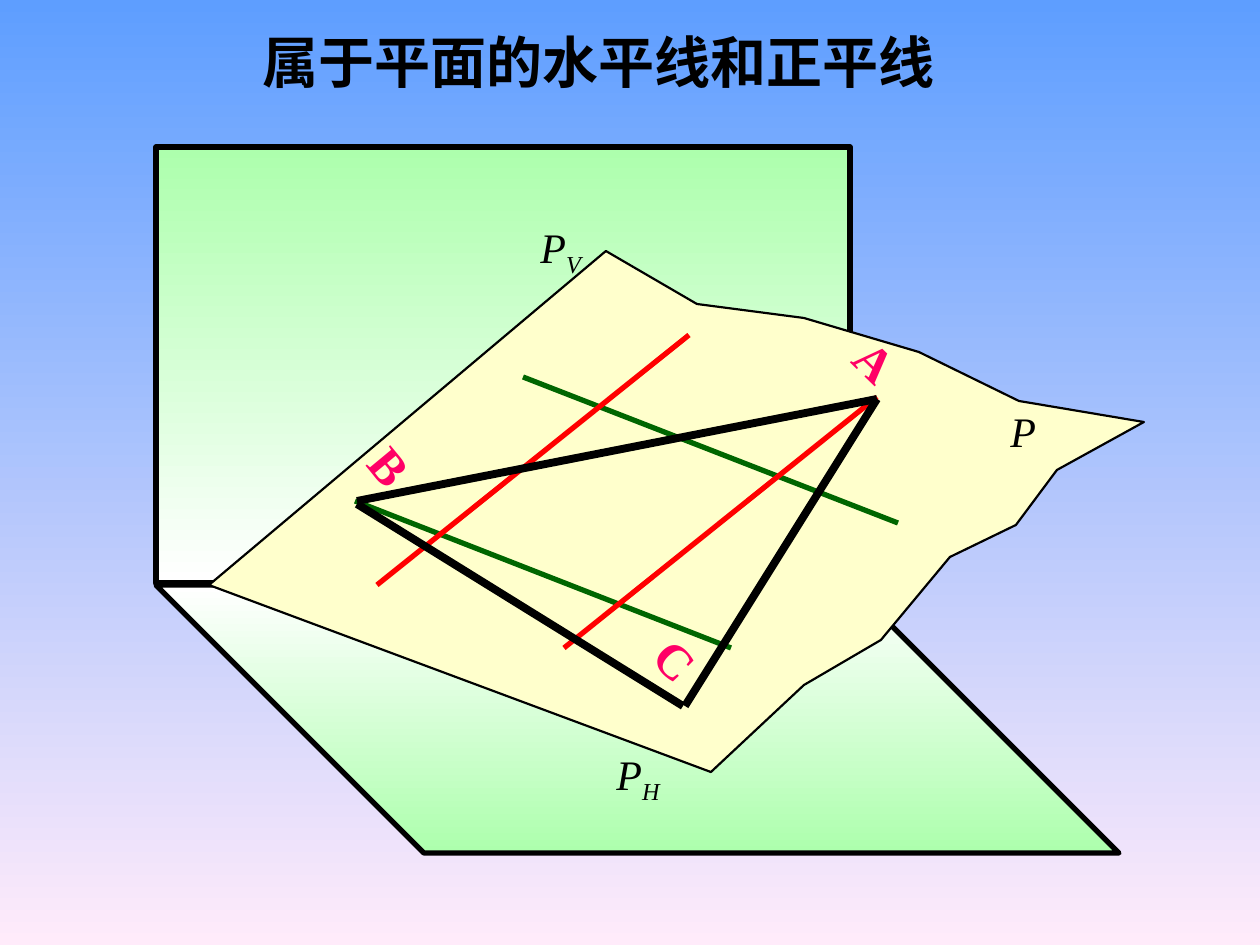
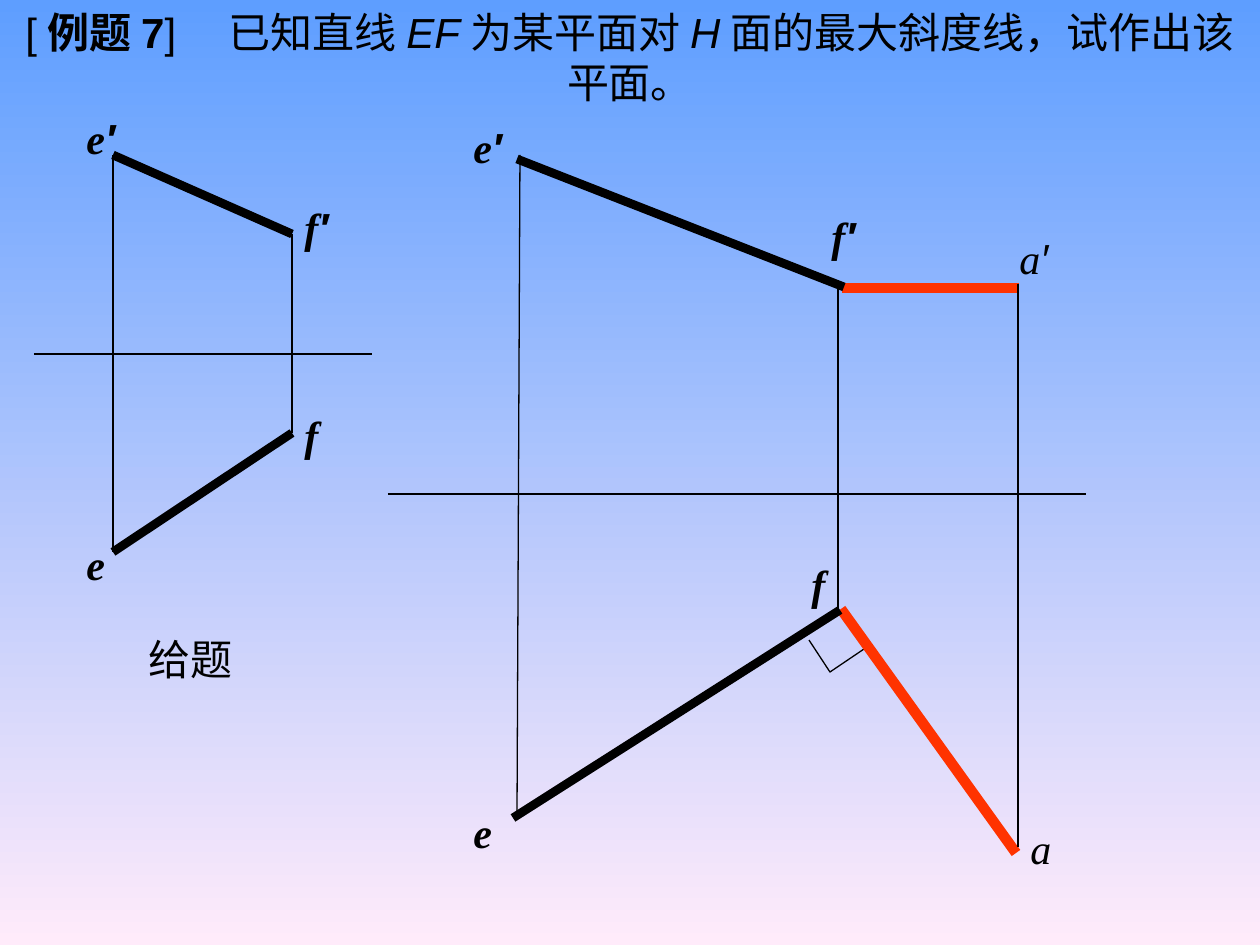
from lxml.etree import SubElement
from pptx import Presentation
from pptx.dml.color import RGBColor
from pptx.enum.shapes import MSO_CONNECTOR, MSO_SHAPE
from pptx.enum.text import MSO_ANCHOR, MSO_AUTO_SIZE, PP_ALIGN
from pptx.oxml.ns import qn
from pptx.util import Inches, Pt

# Shared look
PX = Inches(1) / 126
BLACK = RGBColor(0x00, 0x00, 0x00)
WHITE = RGBColor(0xFF, 0xFF, 0xFF)
SKY = RGBColor(0x5E, 0x9E, 0xFF)
BLUSH = RGBColor(0xFF, 0xEB, 0xFA)
MINT = RGBColor(0xAD, 0xFF, 0xAD)
CREAM = RGBColor(0xFF, 0xFF, 0xCC)
GREEN = RGBColor(0x00, 0x66, 0x00)
RED = RGBColor(0xFF, 0x00, 0x00)
ORANGE = RGBColor(0xFF, 0x33, 0x00)
PINK = RGBColor(0xFF, 0x00, 0x66)
SANS, SERIF = "Arial", "Times New Roman"

# Slide 1: horizontal and frontal lines of a plane
LINES_TITLE = [("属于平面的水平线和正平线", {"bold": True})]
VERTICAL_WALL = (156, 147, 694, 436)
HORIZONTAL_FLOOR = (156, 585, 963, 268)
PLANE_P = [(209, 585), (606, 251), (697, 304), (804, 318), (919, 352),
           (1019, 401), (1144, 422), (1057, 470), (1016, 525), (950, 557),
           (881, 640), (804, 685), (711, 772)]
PLANE_LABELS = [
    (998, 399, 83, [("P", {})]),
    (528, 215, 166, [("P", {}), ("V", {"baseline": -25})]),
    (604, 742, 166, [("P", {}), ("H", {"baseline": -25})]),
]
PLANE_LINES = [  # colour, width, segments
    (GREEN, 3, [(355, 501, 731, 648), (523, 377, 898, 523)]),
    (RED, 3, [(689, 335, 377, 585), (877, 397, 564, 648)]),
    (BLACK, 4.5, [(357, 501, 877, 399), (877, 399, 685, 706),
                  (683, 706, 357, 504)]),
]
VERTICES = [("A", 840, 339, 44.2), ("B", 354, 446, 50.4), ("C", 640, 638, 45.5)]

# Slide 2: exercise 7
EXERCISE_TITLE = [
    ("[", {}), ("例题7", {"bold": True}), ("]　已知直线", {}),
    ("EF", {"italic": True}), ("为某平面对", {}), ("H", {"italic": True}),
    ("面的最大斜度线，试作出该平面。", {}),
]
EXERCISE_LINES = [
    (ORANGE, 6, [(841, 609, 1016, 853), (842, 288, 1019, 288)]),
    (BLACK, 5, [(113, 155, 292, 234), (113, 552, 292, 433),
                (517, 159, 844, 287), (513, 818, 840, 610)]),
    (BLACK, 0.75, [(34, 354, 372, 354), (388, 494, 1086, 494),
                   (113, 155, 113, 552), (292, 433, 292, 234),
                   (838, 284, 838, 611), (520, 155, 517, 816),
                   (1018, 284, 1018, 847)]),
]
RIGHT_ANGLE = [(809, 640), (830, 672), (864, 649)]
GIVEN_POINTS = [("e′", 74, 106), ("f′", 292, 195), ("e", 74, 532), ("f", 292, 403),
                ("e′", 461, 115), ("f′", 819, 204), ("e", 461, 800), ("f", 799, 552)]
FOUND_POINTS = [("a", 1018, 816), ("a′", 1007, 226)]


def px(*lengths):
    return [round(length * PX) for length in lengths]


def write(frame, spans, size=24, font=SERIF, color=BLACK, bold=False,
          italic=False, align=PP_ALIGN.LEFT):
    """Fill a text frame; each span is (text, overrides)."""
    frame.word_wrap = True
    frame.vertical_anchor = MSO_ANCHOR.TOP
    para = frame.paragraphs[0]
    para.alignment = align
    for text, style in spans:
        span = para.add_run()
        span.text = text
        span.font.size = Pt(size)
        span.font.name = style.get("font", font)
        span.font.color.rgb = color
        span.font.bold = style.get("bold", bold)
        span.font.italic = style.get("italic", italic)
        if "baseline" in style:
            span._r.get_or_add_rPr().set("baseline", str(style["baseline"] * 1000))


def add_label(page, left, top, width, height, spans, rotation=0, **style):
    box = page.shapes.add_textbox(*px(left, top, width, height))
    box.rotation = rotation
    write(box.text_frame, spans, **style)
    box.text_frame.auto_size = MSO_AUTO_SIZE.SHAPE_TO_FIT_TEXT


def point_spans(name):
    return [(mark, {"font": SANS} if mark == "′" else {}) for mark in name]


def add_lines(page, groups):
    for color, width, segments in groups:
        for segment in segments:
            line = page.shapes.add_connector(MSO_CONNECTOR.STRAIGHT, *px(*segment))
            line.line.color.rgb = color
            line.line.width = Pt(width)
            SubElement(line._element.spPr, qn("a:effectLst"))


def fade_down(fill, top_color, bottom_color):
    fill.gradient()
    fill.gradient_angle = 270
    for stop, color, place in zip(fill.gradient_stops, (top_color, bottom_color), (0, 1)):
        stop.color.rgb = color
        stop.position = place


def outline(shape, width):
    shape.shadow.inherit = False
    shape.line.color.rgb = BLACK
    shape.line.width = Pt(width)


def add_panel(page, kind, bounds, top_color, bottom_color):
    panel = page.shapes.add_shape(kind, *px(*bounds))
    fade_down(panel.fill, top_color, bottom_color)
    outline(panel, 3)
    return panel


def add_path(page, points, width, fill=None):
    builder = page.shapes.build_freeform(*points[0], scale=PX)
    builder.add_line_segments(points[1:], close=fill is not None)
    path_shape = builder.convert_to_shape()
    if fill is None:
        path_shape.fill.background()
    else:
        path_shape.fill.solid()
        path_shape.fill.fore_color.rgb = fill
    outline(path_shape, width)


def add_page(deck, bounds, title_spans, size):
    page = deck.slides.add_slide(deck.slide_layouts.get_by_name("Title Only"))
    title = page.shapes.title
    title.left, title.top, title.width, title.height = px(*bounds)
    title.text_frame.auto_size = MSO_AUTO_SIZE.NONE
    write(title.text_frame, title_spans, size=size, font=SANS, align=PP_ALIGN.CENTER)
    return page


def build_plane_page(deck):
    page = add_page(deck, (158, 21, 882, 95), LINES_TITLE, 32)
    # Projection planes and the cut plane
    add_panel(page, MSO_SHAPE.RECTANGLE, VERTICAL_WALL, MINT, WHITE)
    floor = add_panel(page, MSO_SHAPE.PARALLELOGRAM, HORIZONTAL_FLOOR, WHITE, MINT)
    floor.adjustments[0] = 1
    floor._element.spPr.xfrm.set("flipH", "1")
    add_path(page, PLANE_P, 1.25, fill=CREAM)
    for left, top, width, spans in PLANE_LABELS:
        add_label(page, left, top, width, 63, spans, italic=True)
    # Lines in the plane and triangle ABC
    add_lines(page, PLANE_LINES)
    for name, left, top, rotation in VERTICES:
        add_label(page, left, top, 100, 72, [(name, {})], rotation=rotation,
                  size=28, color=PINK, bold=True)


def build_exercise_page(deck):
    page = add_page(deck, (0, 0, 1260, 73), EXERCISE_TITLE, 24)
    add_path(page, RIGHT_ANGLE, 0.75)
    add_lines(page, EXERCISE_LINES)
    # Point names and caption
    for points, width, bold in ((GIVEN_POINTS, 100, True), (FOUND_POINTS, 127, False)):
        for name, left, top in points:
            add_label(page, left, top, width, 63, point_spans(name),
                      bold=bold, italic=True)
    add_label(page, 136, 627, 163, 63, [("给题", {})])


def main():
    deck = Presentation()
    deck.slide_width, deck.slide_height = px(1260, 945)
    fade_down(deck.slide_master.background.fill, SKY, BLUSH)
    build_plane_page(deck)
    build_exercise_page(deck)
    deck.save("out.pptx")


if __name__ == "__main__":
    main()
